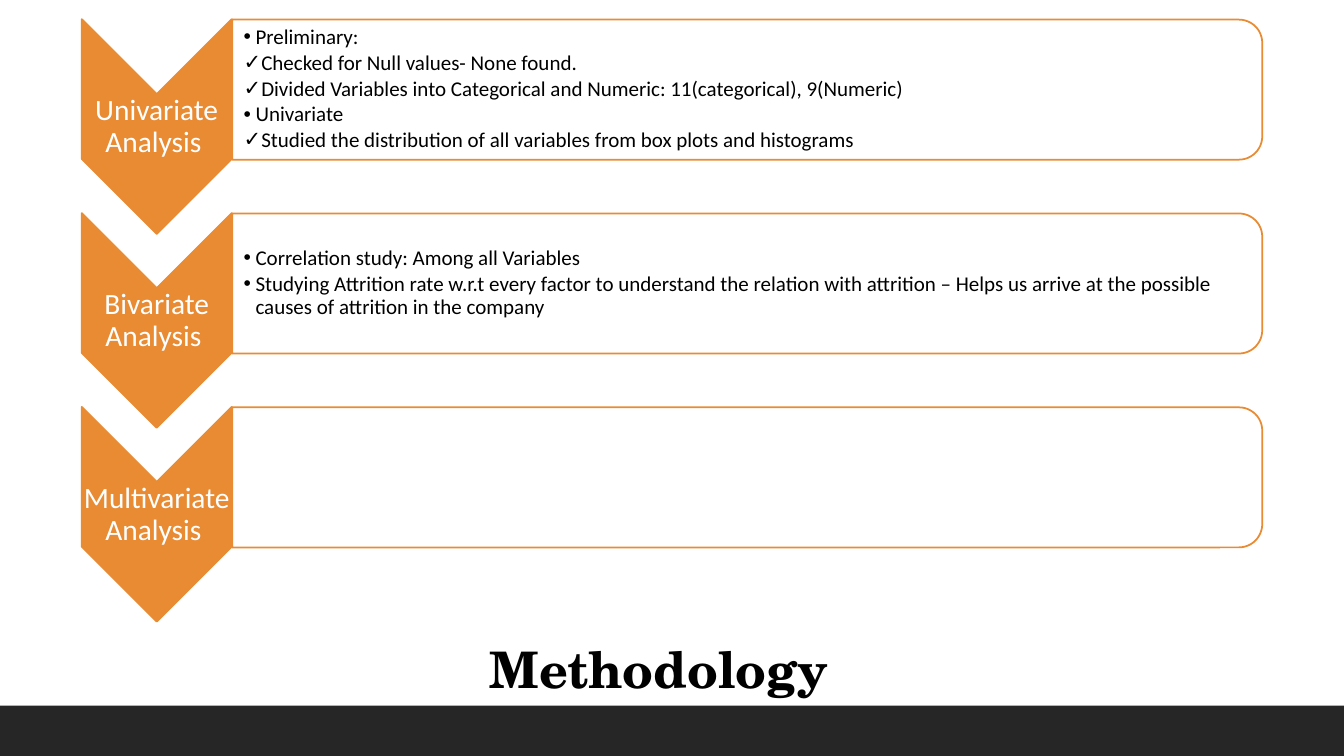
from lxml import etree
from pptx import Presentation
from pptx.dml.color import RGBColor
from pptx.enum.shapes import MSO_SHAPE
from pptx.enum.text import MSO_ANCHOR, MSO_AUTO_SIZE, PP_ALIGN
from pptx.oxml.ns import qn
from pptx.util import Cm, Pt

RECT = MSO_SHAPE.RECTANGLE
CHEVRON = MSO_SHAPE.CHEVRON
PANEL = MSO_SHAPE.ROUND_2_SAME_RECTANGLE
TOP, MIDDLE = MSO_ANCHOR.TOP, MSO_ANCHOR.MIDDLE
LEFT, CENTER = PP_ALIGN.LEFT, PP_ALIGN.CENTER
FIXED = MSO_AUTO_SIZE.NONE

ORANGE = RGBColor(0xE8, 0x8B, 0x33)
WHITE = RGBColor(0xFF, 0xFF, 0xFF)
BLACK = RGBColor(0, 0, 0)
DARK = RGBColor(0x26, 0x26, 0x26)

PITCH = 4.885
DOT, TICK = "•", "✓"
STAGES = [
    ("Univariate Analysis ", [
        (DOT, "Preliminary:"),
        (TICK, "Checked for Null values- None found."),
        (TICK, "Divided Variables into Categorical and Numeric: "
               "11(categorical), 9(Numeric)"),
        (DOT, "Univariate"),
        (TICK, "Studied the distribution of all variables from box plots "
               "and histograms"),
    ]),
    ("Bivariate Analysis ", [
        (DOT, "Correlation study: Among all Variables"),
        (DOT, "Studying Attrition rate w.r.t every factor to understand the "
              "relation with attrition – Helps us arrive at the possible "
              "causes of attrition in the company"),
    ]),
    ("Multivariate Analysis ", []),
]


def place(shape, left, top, width, height):
    shape.left, shape.top = Cm(left), Cm(top)
    shape.width, shape.height = Cm(width), Cm(height)


def style(para, name, size, color, bold=False):
    font = para.font
    font.name, font.size, font.bold = name, Pt(size), bold
    font.color.rgb = color


def frame(shape, anchor, left, rest):
    """Set wrapping, anchor and insets of a shape's text."""
    text = shape.text_frame
    text.word_wrap, text.auto_size = True, FIXED
    text.vertical_anchor = anchor
    text.margin_left = Cm(left)
    text.margin_top = text.margin_right = text.margin_bottom = Cm(rest)
    return text


def add_block(slide, kind, box, fill, line=None):
    shape = slide.shapes.add_shape(kind, *map(Cm, box))
    shape.shadow.inherit = False
    shape.fill.solid()
    shape.fill.fore_color.rgb = fill
    if line is None:
        shape.line.fill.background()
    else:
        shape.line.color.rgb = line
        shape.line.width = Pt(1.25)
    return shape


def add_turned(slide, kind, x, y, width, height, fill):
    """Add a shape centred on x, y and turned a quarter clockwise."""
    box = (x - width / 2, y - height / 2, width, height)
    shape = add_block(slide, kind, box, fill, ORANGE)
    shape.rotation = 90
    return shape


def fade(shape, percent):
    color = shape.fill._xPr.find(qn("a:solidFill"))[0]
    etree.SubElement(color, qn("a:alpha")).set("val", str(percent * 1000))


def add_label(slide, words, top):
    label = slide.shapes.add_textbox(0, 0, 0, 0)
    place(label, 2.06, top, 3.78, 1.63)
    para = frame(label, MIDDLE, 0.03, 0.03).paragraphs[0]
    para.text = words
    para.alignment, para.line_spacing = CENTER, 0.9
    style(para, "Calibri", 21, WHITE)


def set_mark(para, mark):
    props = para._p.get_or_add_pPr()
    props.set("marL", str(Cm(0.3)))
    props.set("indent", str(-Cm(0.3)))
    etree.SubElement(props, qn("a:buChar")).set("char", mark)


def fill_list(holder, items, top):
    place(holder, 5.84, top, 25.78, 3.18)
    text = frame(holder, MIDDLE, 0.3, 0.03)
    for index, (mark, words) in enumerate(items):
        para = text.add_paragraph() if index else text.paragraphs[0]
        para.text = words
        para.level, para.alignment = 1, LEFT
        para.line_spacing = 0.9
        para.space_before, para.space_after = Pt(0), Pt(2.25)
        set_mark(para, mark)
        style(para, "Calibri", 15, BLACK)
    holder.element.getparent().append(holder.element)


def add_stage(slide, row, name, items):
    shift = row * PITCH
    add_turned(slide, CHEVRON, 3.95, 3.19 + shift, 5.41, 3.78, ORANGE)
    add_label(slide, name, 2.39 + shift)
    panel = add_turned(slide, PANEL, 18.83, 2.26 + shift, 3.53, 25.96, WHITE)
    fade(panel, 90)
    if items:
        fill_list(slide.placeholders[row + 1], items, 0.66 + shift)


def set_title(slide, words):
    title = slide.shapes.title
    place(title, 12.09, 15.95, 9.2, 1.8)
    para = frame(title, TOP, 0.25, 0.13).paragraphs[0]
    para.text = words
    para.alignment = LEFT
    style(para, "TeX Gyre Schola", 36, BLACK, True)


def main():
    deck = Presentation()
    deck.slide_width, deck.slide_height = Cm(33.87), Cm(19.05)
    # The "Two Content" layout has a title and two list placeholders
    slide = deck.slides.add_slide(deck.slide_layouts[3])
    add_block(slide, RECT, (0, 17.78, 33.87, 1.27), DARK)
    for row, (name, items) in enumerate(STAGES):
        add_stage(slide, row, name, items)
    set_title(slide, "Methodology")
    deck.save("out.pptx")


if __name__ == "__main__":
    main()
